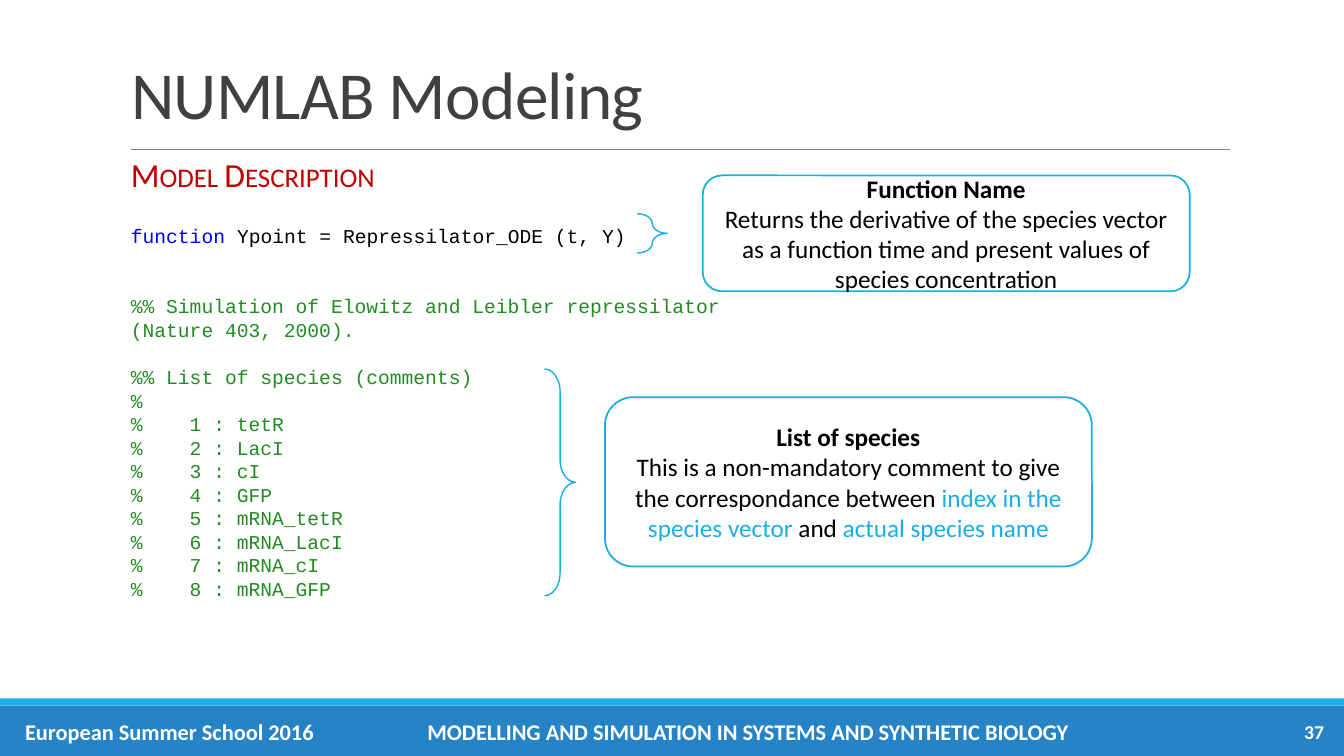
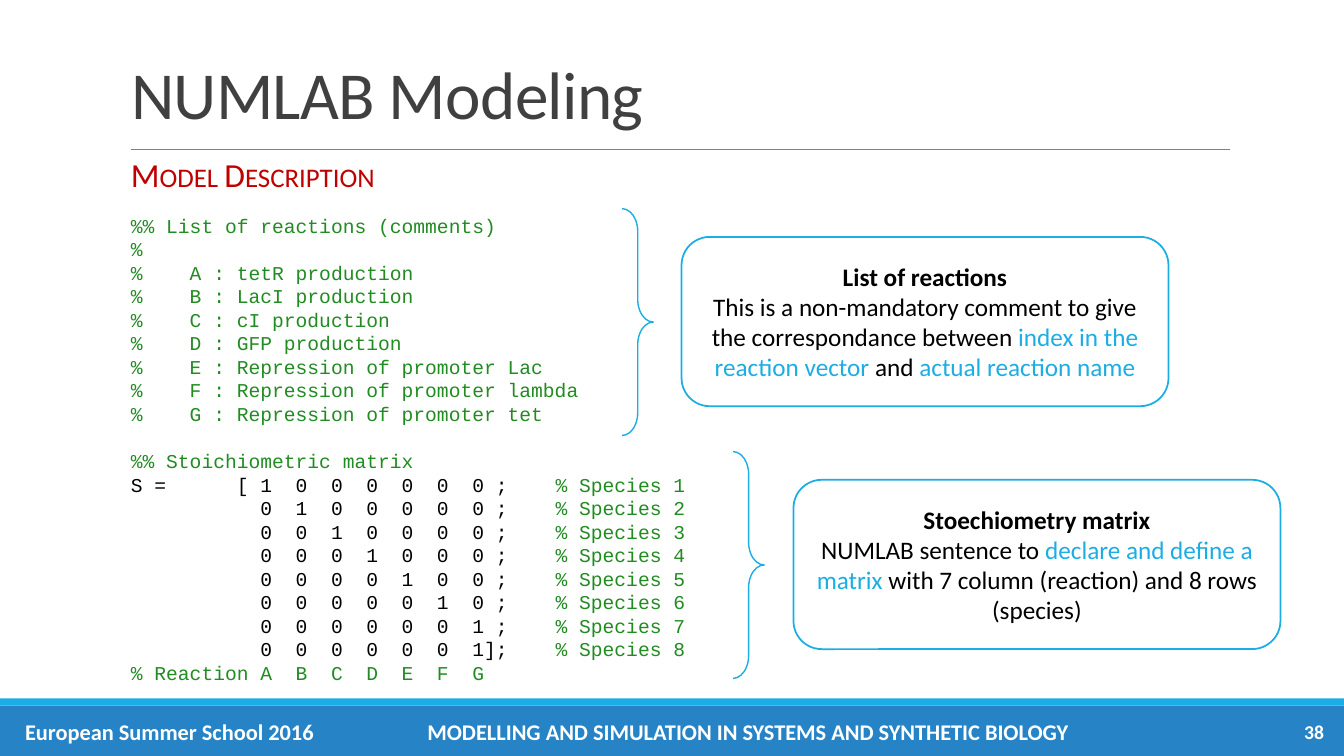
import lxml.etree
import pptx
import pptx.dml.color
import pptx.enum.shapes
import pptx.enum.text
import pptx.oxml.ns
import pptx.util

Inches, Pt = pptx.util.Inches, pptx.util.Pt
KIND = pptx.enum.shapes.MSO_SHAPE
ALIGN = pptx.enum.text.PP_ALIGN
ANCHOR = pptx.enum.text.MSO_ANCHOR

BLACK, WHITE, RED, GRAY = "000000", "FFFFFF", "C00000", "404040"
SKY, BLUE, KEY, GREEN = "1CADE4", "2683C6", "0000FF", "228B22"
LEAD = 16.8

TITLE = "NUMLAB Modeling"
HEAD = "Model Description"
SCHOOL = "European Summer School 2016"
COURSE = "MODELLING AND SIMULATION IN SYSTEMS AND SYNTHETIC BIOLOGY"

GENES = ["tetR", "LacI", "cI", "GFP"]
SPECIES = GENES + ["mRNA_" + gene for gene in GENES]
REACTS = [gene + " production" for gene in GENES]
REACTS += ["Repression of promoter " + name for name in ["Lac", "lambda", "tet"]]
KEYS = "ABCDEFG"


def green(text, gap=0):
    return gap, [(text, GREEN)]


def matrix():
    rows = []
    last = len(SPECIES) - 1
    for row in range(len(SPECIES)):
        one = min(row, len(REACTS) - 1)
        cells = "  ".join("1" if col == one else "0" for col in range(len(REACTS)))
        start = "S =      [ " if row == 0 else " " * 11
        end = "];    " if row == last else " ;    "
        rows.append((0, [(start + cells + end, BLACK), (f"% Species {row + 1}", GREEN)]))
    return rows


def comment(name):
    return [("This is a non-mandatory comment to give the correspondance between ", BLACK),
            (f"index in the {name} vector ", SKY), ("and ", BLACK),
            (f"actual {name} name", SKY)]


PAGES = [
    {
        "num": "37",
        "top": 2.17, "tall": 4.11,
        "code": [
            (0, [("function ", KEY), ("Ypoint = Repressilator_ODE (t, Y)", BLACK)]),
            green("%% Simulation of Elowitz and Leibler repressilator (Nature 403, 2000).", 2),
            green("%% List of species (comments)", 1),
            green("%"),
            *[green(f"%    {num} : {name}") for num, name in enumerate(SPECIES, 1)],
        ],
        "notes": [
            ("List of species", comment("species"),
             (5.4, 3.66, 0.31, 2.25), (6, 3.94, 4.83, 1.68)),
            ("Function Name",
             [("Returns the derivative of the species vector as a function time "
               "and present values of species concentration", BLACK)],
             (6.32, 2.12, 0.3, 0.39), (6.97, 1.74, 4.83, 1.15)),
        ],
    },
    {
        "num": "38",
        "top": 2.07, "tall": 4.81,
        "code": [
            green("%% List of reactions (comments)"),
            green("%"),
            *[green(f"%    {key} : {name}") for key, name in zip(KEYS, REACTS)],
            green("%% Stoichiometric matrix", 1),
            *matrix(),
            green("% Reaction " + "  ".join(KEYS)),
        ],
        "notes": [
            ("List of reactions", comment("reaction"),
             (6.17, 2.07, 0.31, 2.25), (6.76, 2.35, 4.83, 1.68)),
            ("Stoechiometry matrix",
             [("NUMLAB sentence to ", BLACK), ("declare and define a matrix ", SKY),
              ("with 7 column (reaction) and 8 rows (species)", BLACK)],
             (7.27, 4.48, 0.31, 2.25), (7.87, 4.76, 4.83, 1.68)),
        ],
    },
]


def rgb(code):
    return pptx.dml.color.RGBColor.from_string(code)


def place(spot):
    return [Inches(side) for side in spot]


def write(para, text, size, color, bold=False, face="Calibri"):
    run = para.add_run()
    run.text = text
    run.font.name = face
    run.font.size = Pt(size)
    run.font.bold = bold
    run.font.color.rgb = rgb(color)
    return run


def tweak(run, name, value):
    run._r.get_or_add_rPr().set(name, value)


def shape(slide, kind, spot, fill=None, line=None, width=1):
    item = slide.shapes.add_shape(kind, *place(spot))
    item.shadow.inherit = False
    if fill:
        item.fill.solid()
        item.fill.fore_color.rgb = rgb(fill)
    else:
        item.fill.background()
    if line:
        item.line.color.rgb = rgb(line)
        item.line.width = Pt(width)
    else:
        item.line.fill.background()
    return item


def frame(slide, spot, wrap=True, anchor=ANCHOR.TOP):
    body = slide.shapes.add_textbox(*place(spot)).text_frame
    body.word_wrap = wrap
    body.vertical_anchor = anchor
    return body


def label(slide, spot, text, size, align):
    para = frame(slide, spot, anchor=ANCHOR.MIDDLE).paragraphs[0]
    para.alignment = align
    write(para, text, size, WHITE, True)


def dress(layout, slide):
    for holder in list(layout.placeholders):
        if holder.placeholder_format.type != pptx.enum.shapes.PP_PLACEHOLDER.TITLE:
            layout.shapes.element.remove(holder.element)
    rule = slide.shapes.add_connector(pptx.enum.shapes.MSO_CONNECTOR.STRAIGHT,
                                      *place((1.3, 1.48, 12.2, 1.48)))
    rule.line.color.rgb = rgb("808080")
    rule.line.width = Pt(0.5)
    lxml.etree.SubElement(rule.element.spPr, pptx.oxml.ns.qn("a:effectLst"))
    band = shape(slide, KIND.RECTANGLE, (0, 7, 13.33, 0.5), BLUE)
    strip = shape(slide, KIND.RECTANGLE, (0, 6.93, 13.33, 0.07), SKY)
    for item in (band, strip, rule):
        layout.shapes.element.append(item.element)


def title(slide):
    head = slide.shapes.title
    head.left, head.top, head.width, head.height = place((1.2, 0.31, 11, 1.06))
    body = head.text_frame
    body.auto_size = pptx.enum.text.MSO_AUTO_SIZE.NONE
    body.vertical_anchor = ANCHOR.BOTTOM
    para = body.paragraphs[0]
    para.alignment = ALIGN.LEFT
    para.line_spacing = 0.85
    tweak(write(para, TITLE, 48, GRAY), "spc", "-50")


def listing(slide, page):
    body = frame(slide, (1.2, page["top"], 6.67, page["tall"]))
    for num, (gap, runs) in enumerate(page["code"]):
        para = body.add_paragraph() if num else body.paragraphs[0]
        if gap:
            para.space_before = Pt(gap * LEAD)
        for text, color in runs:
            write(para, text, 14, color, face="Courier New")


def note(slide, name, runs, brace, spot):
    curl = shape(slide, KIND.RIGHT_BRACE, brace, line=SKY)
    curl.adjustments[0] = 0.73
    body = shape(slide, KIND.ROUNDED_RECTANGLE, spot, WHITE, SKY, 1.25).text_frame
    body.word_wrap = True
    body.vertical_anchor = ANCHOR.MIDDLE
    first, second = body.paragraphs[0], body.add_paragraph()
    first.alignment = second.alignment = ALIGN.CENTER
    write(first, name, 18, BLACK, True)
    for text, color in runs:
        write(second, text, 18, color)


def build(slide, page):
    title(slide)
    label(slide, (0.15, 7.06, 3.11, 0.4), SCHOOL, 16, ALIGN.LEFT)
    label(slide, (3.62, 7.06, 7.6, 0.4), COURSE, 16, ALIGN.CENTER)
    label(slide, (11.8, 7.06, 1.43, 0.4), page["num"], 14, ALIGN.RIGHT)
    listing(slide, page)
    para = frame(slide, (1.2, 1.48, 2.66, 0.5), wrap=False).paragraphs[0]
    tweak(write(para, HEAD, 24, RED), "cap", "small")
    for item in page["notes"]:
        note(slide, *item)


def main():
    deck = pptx.Presentation()
    deck.slide_width, deck.slide_height = place((13.33, 7.5))
    layout = deck.slide_layouts[5]
    for num, page in enumerate(PAGES):
        slide = deck.slides.add_slide(layout)
        if num == 0:
            dress(layout, slide)
        build(slide, page)
    deck.save("out.pptx")


if __name__ == "__main__":
    main()
